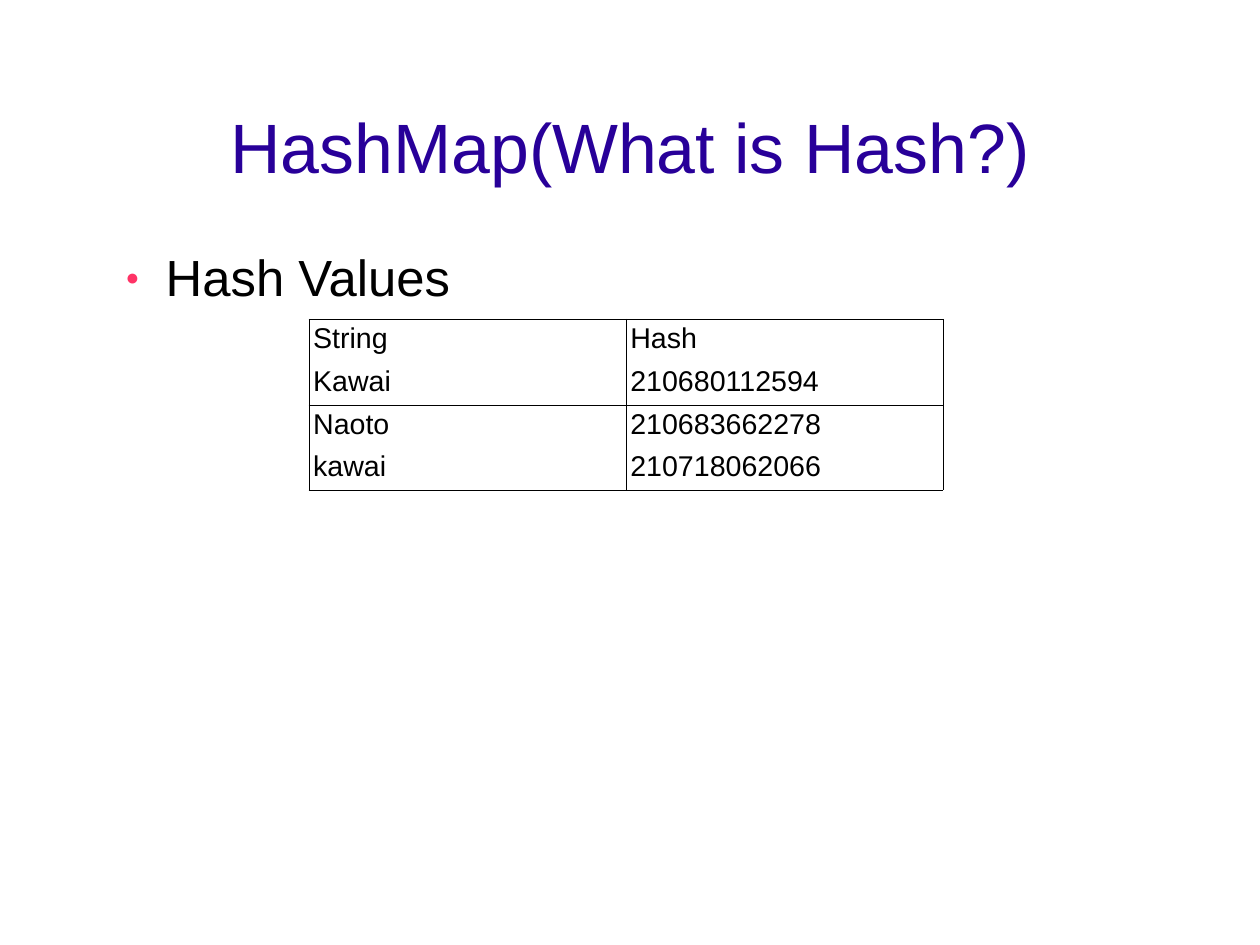
from dataclasses import dataclass

from lxml import etree
from pptx import Presentation
from pptx import util as u
from pptx.dml.color import RGBColor
from pptx.enum import text
from pptx.oxml import ns

CM_PER_INCH = 2.54


@dataclass(frozen=True)
class Theme:
    font: str = "Arial"
    title_size: int = 44
    body_size: int = 32
    cell_size: int = 18
    title: str = "280099"
    ink: str = "000000"
    paper: str = "FFFFFF"
    bullet: str = "FF3366"
    bullet_scale: int = 45
    line_spacing: float = 0.93
    border_points: float = 0.06


@dataclass(frozen=True)
class HashRow:
    string: str
    value: str
    top_line: bool
    bottom_line: bool


THEME = Theme()
HASH_ROWS = [
    HashRow("String", "Hash", True, False),
    HashRow("Kawai", "210680112594", False, True),
    HashRow("Naoto", "210683662278", True, False),
    HashRow("kawai", "210718062066", False, True),
]


def add_child(parent, tag: str, **attributes: str):
    return etree.SubElement(parent, ns.qn(tag), attributes)


def place(shape, left: float, top: float, width: float, height: float) -> None:
    shape.left, shape.top = u.Inches(left), u.Inches(top)
    shape.width, shape.height = u.Inches(width), u.Inches(height)


def write(frame, words: str, size: int, color: str):
    frame.text = words
    para = frame.paragraphs[0]
    para.line_spacing = THEME.line_spacing
    font = para.runs[0].font
    font.name, font.size, font.bold = THEME.font, u.Pt(size), False
    font.color.rgb = RGBColor.from_string(color)
    return para


def set_insets(frame, top: float) -> None:
    frame.word_wrap = True
    frame.auto_size = text.MSO_AUTO_SIZE.NONE
    frame.margin_left = frame.margin_right = frame.margin_bottom = 0
    frame.margin_top = u.Inches(top)


def add_bullet(para) -> None:
    para.space_after = u.Pt(14.3)
    properties = para._p.get_or_add_pPr()
    properties.set("marL", str(u.Inches(0.47)))
    properties.set("indent", str(u.Inches(-0.35)))
    color = add_child(properties, "a:buClr")
    add_child(color, "a:srgbClr", val=THEME.bullet)
    add_child(properties, "a:buSzPct", val=str(THEME.bullet_scale * 1000))
    add_child(properties, "a:buFont", typeface=THEME.font)
    add_child(properties, "a:buChar", char="●")


def add_border(cell, side: str, visible: bool) -> None:
    width = str(u.Pt(THEME.border_points))
    line = add_child(cell._tc.get_or_add_tcPr(), f"a:ln{side}", w=width)
    if visible:
        fill = add_child(line, "a:solidFill")
        add_child(fill, "a:srgbClr", val=THEME.ink)
    else:
        add_child(line, "a:noFill")


def fill_cell(cell, words: str, row: HashRow) -> None:
    write(cell.text_frame, words, THEME.cell_size, THEME.ink)
    cell.margin_left = cell.margin_right = u.Inches(0.04)
    cell.margin_top = cell.margin_bottom = u.Inches(0.05)
    sides = {"L": True, "R": True, "T": row.top_line, "B": row.bottom_line}
    for side, visible in sides.items():
        add_border(cell, side, visible)
    cell.fill.solid()
    cell.fill.fore_color.rgb = RGBColor.from_string(THEME.paper)


def add_title(page) -> None:
    title = page.shapes.title
    place(title, 0.79, 0.65, 9.45, 1.28)
    set_insets(title.text_frame, 0.04)
    title.text_frame.vertical_anchor = text.MSO_ANCHOR.MIDDLE
    para = write(title.text_frame, "HashMap(What is Hash?)", THEME.title_size, THEME.title)
    para.alignment = text.PP_ALIGN.CENTER


def add_body(page) -> None:
    box = page.shapes.add_textbox(0, 0, 0, 0)
    place(box, 0.98, 2.17, 9.06, 4.46)
    set_insets(box.text_frame, 0.03)
    add_bullet(write(box.text_frame, "Hash Values", THEME.body_size, THEME.ink))


def add_hash_table(page) -> None:
    table = page.shapes.add_table(
        len(HASH_ROWS), 2, u.Inches(2.7), u.Inches(2.79), u.Inches(5.55), u.Inches(1.5)
    ).table
    table.first_row = table.horz_banding = False
    for index, row in enumerate(HASH_ROWS):
        for column, words in enumerate((row.string, row.value)):
            fill_cell(table.cell(index, column), words, row)


def main() -> None:
    deck = Presentation()
    deck.slide_width = u.Inches(28 / CM_PER_INCH)
    deck.slide_height = u.Inches(21 / CM_PER_INCH)
    page = deck.slides.add_slide(deck.slide_layouts[5])
    add_title(page)
    add_body(page)
    add_hash_table(page)
    deck.save("out.pptx")


if __name__ == "__main__":
    main()
